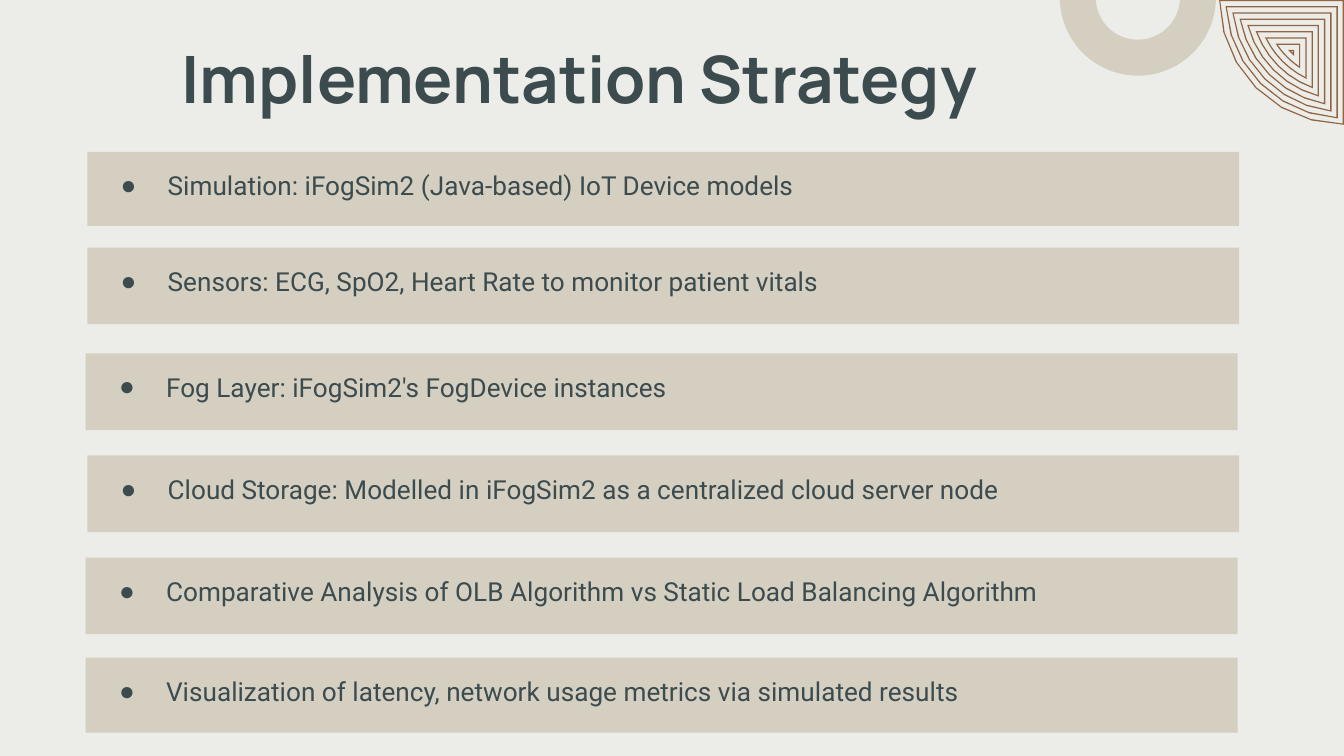
import math

from lxml import etree
from pptx import Presentation, util as u
from pptx.dml.color import RGBColor
from pptx.enum import shapes, text
from pptx.oxml.ns import qn

BACKGROUND, SAND, SLATE, COPPER = "ECEDE9", "D4CFC1", "3C4B4E", "916442"
SLIDE_WIDTH, SLIDE_HEIGHT = 25.4, 14.29
FAN_RADIUS, FAN_BANDS = 2.36, 9
BAR_WIDTH = 21.77
# Left, top and height of each bar, then its wording
BARS = [
    (1.65, 2.87, 1.4, "Simulation: iFogSim2 (Java-based) IoT Device models"),
    (1.65, 4.68, 1.45, "Sensors: ECG, SpO2, Heart Rate to monitor patient vitals"),
    (1.62, 6.68, 1.45, "Fog Layer: iFogSim2's FogDevice instances"),
    (1.65, 8.61, 1.45, "Cloud Storage: Modelled in iFogSim2 as a centralized cloud server node"),
    (1.62, 10.54, 1.45, "Comparative Analysis of OLB Algorithm vs Static Load Balancing Algorithm"),
    (1.62, 12.43, 1.42, "Visualization of latency, network usage metrics via simulated results"),
]


def paint(fill, color):
    fill.solid()
    fill.fore_color.rgb = RGBColor.from_string(color)


def finish_shape(shape, color):
    paint(shape.fill, color)
    shape.line.fill.background()
    shape.shadow.inherit = False


def add_preset(slide, preset, box, color):
    shape = slide.shapes.add_shape(preset, *map(u.Cm, box))
    finish_shape(shape, color)
    return shape


def format_text(paragraph, font_name, size, bold=False):
    paragraph.alignment = text.PP_ALIGN.LEFT
    for run in paragraph.runs:
        run.font.name = font_name
        run.font.size = u.Pt(size)
        run.font.bold = bold
        paint(run.font.fill, SLATE)


def set_insets(frame, left=0.25):
    frame.margin_left = u.Cm(left)
    frame.margin_top = frame.margin_right = frame.margin_bottom = u.Cm(0.25)
    frame.vertical_anchor = text.MSO_ANCHOR.TOP
    frame.word_wrap = True
    frame.auto_size = text.MSO_AUTO_SIZE.NONE


def add_bullet(paragraph):
    properties = paragraph._p.get_or_add_pPr()
    properties.set("marL", str(u.Cm(1.27)))
    properties.set("indent", str(u.Cm(-0.89)))
    color = etree.SubElement(properties, qn("a:buClr"))
    etree.SubElement(color, qn("a:srgbClr"), val=SLATE)
    etree.SubElement(properties, qn("a:buFont"), typeface="Arial")
    etree.SubElement(properties, qn("a:buChar"), char="●")


def fan_outline(inset, radius, steps=6):
    """Points of a quarter disc in the top right corner, cut by inset top and right edges."""
    start = math.asin(inset / radius)
    sweep = math.pi / 2 - 2 * start
    angles = [start + sweep * step / steps for step in range(steps + 1)]
    points = [(SLIDE_WIDTH - radius * math.cos(a), radius * math.sin(a)) for a in angles]
    points.append((SLIDE_WIDTH - inset, inset))
    return [(u.Cm(x), u.Cm(y)) for x, y in points]


def add_fan(slide):
    gap = FAN_RADIUS / 20
    thickness = gap / 5
    for band in range(FAN_BANDS):
        inset, radius = band * gap, FAN_RADIUS - band * gap
        outer = fan_outline(inset, radius)
        inner = fan_outline(inset + thickness, radius - thickness)[::-1]
        builder = slide.shapes.build_freeform(*outer[0])
        builder.add_line_segments(outer[1:], close=True)
        builder.move_to(*inner[0])
        builder.add_line_segments(inner[1:], close=True)
        finish_shape(builder.convert_to_shape(), COPPER)


def add_half_ring(slide):
    ring = add_preset(slide, shapes.MSO_SHAPE.BLOCK_ARC, (20.03, -1.52, 2.95, 2.95), SAND)
    for index, value in enumerate((0, 108, 0.23)):
        ring.adjustments[index] = value


def set_title(slide, wording):
    title = slide.shapes.title
    title.left, title.top, title.width, title.height = map(u.Cm, (1.93, 0.48, 21.44, 1.73))
    title.text_frame.text = wording
    set_insets(title.text_frame, left=1.5)
    paragraph = title.text_frame.paragraphs[0]
    paragraph.line_spacing = 1.0
    format_text(paragraph, "Manrope", 35, bold=True)


def add_bar(slide, left, top, height, wording):
    box = (left, top, BAR_WIDTH, height)
    bar = add_preset(slide, shapes.MSO_SHAPE.RECTANGLE, box, SAND)
    bar.text_frame.text = wording
    set_insets(bar.text_frame)
    paragraph = bar.text_frame.paragraphs[0]
    paragraph.line_spacing = 1.15
    format_text(paragraph, "Roboto", 14)
    add_bullet(paragraph)


def main():
    presentation = Presentation()
    presentation.slide_width = u.Cm(SLIDE_WIDTH)
    presentation.slide_height = u.Cm(SLIDE_HEIGHT)
    slide = presentation.slides.add_slide(presentation.slide_layouts.get_by_name("Title Only"))
    paint(slide.background.fill, BACKGROUND)
    add_fan(slide)
    add_half_ring(slide)
    set_title(slide, "Implementation Strategy")
    for bar in BARS:
        add_bar(slide, *bar)
    presentation.save("out.pptx")


if __name__ == "__main__":
    main()
